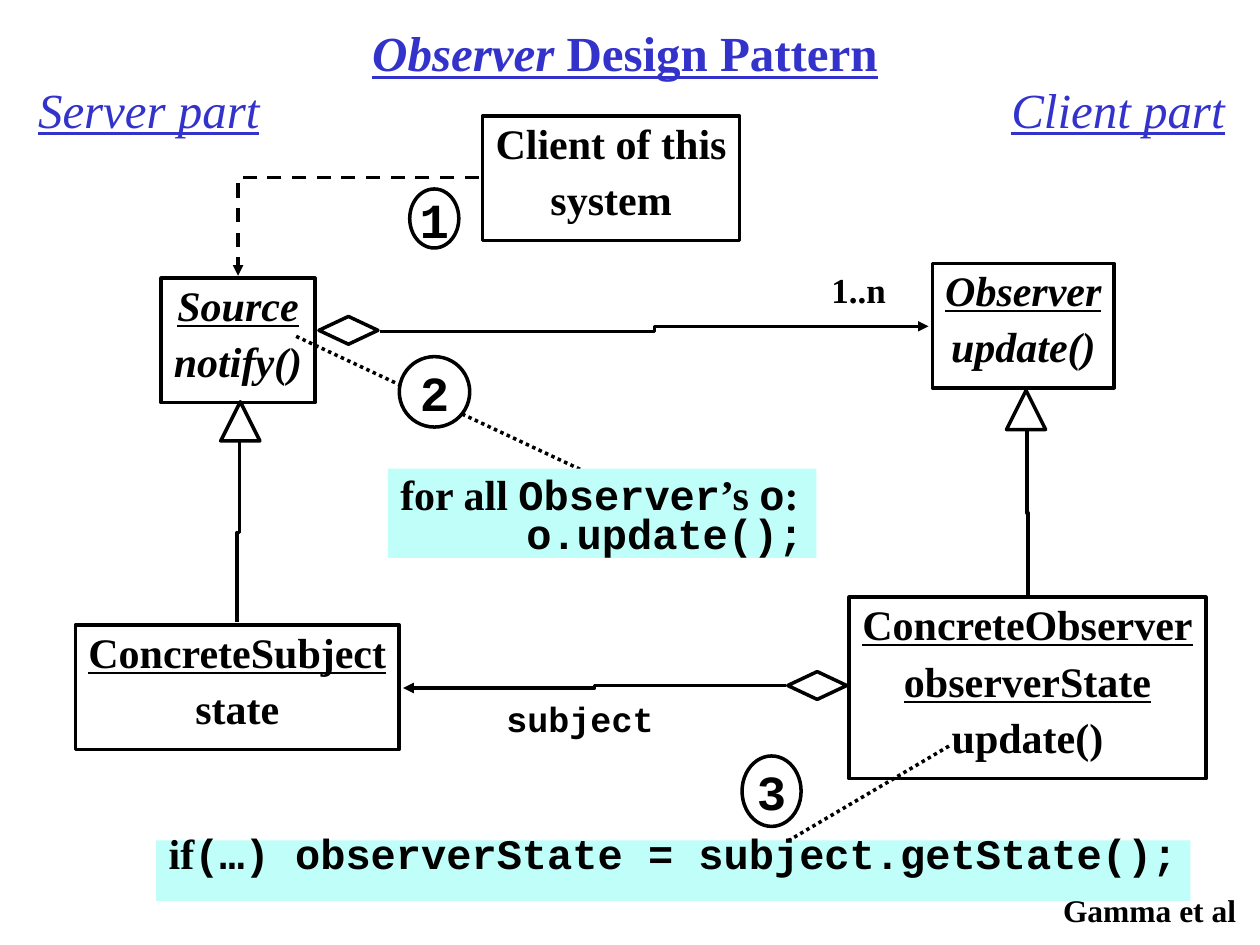
from lxml.etree import SubElement
from pptx import Presentation
from pptx.dml.color import RGBColor
from pptx.enum.dml import MSO_LINE_DASH_STYLE as Dash
from pptx.enum.shapes import MSO_CONNECTOR_TYPE as Connector, MSO_SHAPE as Shape
from pptx.enum.text import MSO_ANCHOR as Anchor, MSO_AUTO_SIZE as AutoSize, PP_ALIGN as Align
from pptx.oxml.ns import qn
from pptx.util import Cm, Pt

BLACK = RGBColor(0x00, 0x00, 0x00)
WHITE = RGBColor(0xFF, 0xFF, 0xFF)
BLUE = RGBColor(0x33, 0x33, 0xCC)
AQUA = RGBColor(0xC0, 0xFE, 0xF9)
SERIF = "Times New Roman"
MONO = "Courier New"


def add_figure(slide, preset, box, fill=None, outlined=True):
    """Add a preset shape with an optional fill and a black outline."""
    shape = slide.shapes.add_shape(preset, *map(Cm, box))
    shape.shadow.inherit = False
    if fill is None:
        shape.fill.background()
    else:
        shape.fill.solid()
        shape.fill.fore_color.rgb = fill
    if outlined:
        shape.line.color.rgb = BLACK
        shape.line.width = Pt(2)
    else:
        shape.line.fill.background()
    return shape


def write(shape, lines, size, color=BLACK, align=Align.LEFT, anchor=Anchor.TOP,
          spacing=1.0, top=0.13, bottom=0.13, wrap=False, grow=True):
    """Fill a shape with lines, each a list of (text, font, style letters)."""
    frame = shape.text_frame
    frame.word_wrap = wrap
    frame.auto_size = AutoSize.SHAPE_TO_FIT_TEXT if grow else AutoSize.NONE
    frame.vertical_anchor = anchor
    frame.margin_left = frame.margin_right = Cm(0.25)
    frame.margin_top, frame.margin_bottom = Cm(top), Cm(bottom)
    for index, runs in enumerate(lines):
        paragraph = frame.add_paragraph() if index else frame.paragraphs[0]
        paragraph.alignment = align
        paragraph.line_spacing = spacing
        paragraph.space_before = Pt(15 if index else 0)
        if runs[0][0].startswith("\t"):
            add_tab_stop(paragraph, 2.54)
        for text, font, style in runs:
            run = paragraph.add_run()
            run.text = text
            run.font.name = font
            run.font.size = Pt(size)
            run.font.color.rgb = color
            run.font.bold = "b" in style
            run.font.italic = "i" in style
            run.font.underline = "u" in style


def add_tab_stop(paragraph, position):
    """Give a paragraph one left tab stop."""
    tabs = SubElement(paragraph._p.get_or_add_pPr(), qn("a:tabLst"))
    SubElement(tabs, qn("a:tab"), pos=str(Cm(position)), algn="l")


def add_class_box(slide, box, *lines):
    """Add a class box from (text, style letters) lines."""
    shape = add_figure(slide, Shape.RECTANGLE, box, WHITE)
    write(shape, [[(text, SERIF, style)] for text, style in lines], 24,
          align=Align.CENTER, anchor=Anchor.MIDDLE, spacing=0.6, top=0.38, bottom=0.38)


def add_note(slide, box, lines, spacing, top, bottom):
    """Add a coloured code note."""
    shape = add_figure(slide, Shape.RECTANGLE, box, AQUA, outlined=False)
    write(shape, lines, 24, spacing=spacing, top=top, bottom=bottom)


def add_step(slide, number, box, fill=WHITE):
    """Add a numbered circle."""
    shape = add_figure(slide, Shape.OVAL, box, fill)
    write(shape, [[(number, MONO, "b")]], 28, align=Align.CENTER,
          anchor=Anchor.MIDDLE, grow=False)


def add_label(slide, text, box, size, font=SERIF, wrap=False):
    """Add a bold free-standing label."""
    write(slide.shapes.add_textbox(*map(Cm, box)), [[(text, font, "b")]], size, wrap=wrap)


def add_part_heading(slide, text, box):
    """Add the heading of one side of the diagram."""
    shape = add_figure(slide, Shape.RECTANGLE, box, WHITE, outlined=False)
    write(shape, [[(text, SERIF, "iu")]], 28, BLUE, Align.CENTER)


def add_line(slide, kind, start, end, dash=None, arrow=False):
    """Add a black connector and return it."""
    line = slide.shapes.add_connector(kind, *map(Cm, (*start, *end)))
    line.line.color.rgb = BLACK
    line.line.width = Pt(2)
    if dash is not None:
        line.line.dash_style = dash
    if arrow:
        SubElement(line.line._get_or_add_ln(), qn("a:tailEnd"), type="triangle")
    SubElement(line._element.spPr, qn("a:effectLst"))
    return line


def add_vertical_elbow(slide, start, end):
    """Add an elbow that leaves and arrives vertically, by a quarter turn."""
    center_x, center_y = (start[0] + end[0]) / 2, (start[1] + end[1]) / 2
    turned = [(center_x + y - center_y, center_y - x + center_x) for x, y in (start, end)]
    line = add_line(slide, Connector.ELBOW, *turned)
    line._element.spPr.find(qn("a:xfrm")).set("rot", "5400000")


def add_corner_arrow(slide, start, end):
    """Add a dashed arrow with a single corner."""
    line = add_line(slide, Connector.ELBOW, start, end, Dash.DASH, arrow=True)
    line._element.spPr.find(qn("a:prstGeom")).set("prst", "bentConnector2")


def main():
    """Build the observer pattern slide."""
    presentation = Presentation()
    presentation.slide_width, presentation.slide_height = Cm(25.4), Cm(19.05)
    slide = presentation.slides.add_slide(presentation.slide_layouts[6])

    title = slide.shapes.add_textbox(*map(Cm, (0, 0.33, 25.2, 2.01)))
    write(title, [[("Observer ", SERIF, "biu"), ("Design Pattern", SERIF, "bu")]],
          28, BLUE, Align.CENTER, wrap=True, grow=False)
    add_part_heading(slide, "Server part", (0.46, 1.47, 5.08, 1.42))
    add_part_heading(slide, "Client part", (20.07, 1.47, 4.94, 1.42))

    add_class_box(slide, (9.73, 2.34, 5.18, 2.51), ("Client of this", "b"), ("system", "b"))
    add_class_box(slide, (3.25, 5.61, 3.1, 2.51), ("Source", "biu"), ("notify()", "bi"))
    add_class_box(slide, (18.8, 5.31, 3.66, 2.51), ("Observer", "biu"), ("update()", "bi"))
    add_class_box(slide, (1.52, 12.6, 6.53, 2.51), ("ConcreteSubject", "bu"), ("state", "b"))
    add_class_box(slide, (17.12, 12.04, 7.19, 3.66), ("ConcreteObserver", "bu"),
                  ("observerState", "bu"), ("update()", "b"))

    for left, top in ((4.45, 8.1), (20.29, 7.87)):
        add_figure(slide, Shape.ISOSCELES_TRIANGLE, (left, top, 0.79, 0.79), WHITE)
    for left, top in ((6.43, 6.38), (15.88, 13.54)):
        add_figure(slide, Shape.DIAMOND, (left, top, 1.19, 0.56), WHITE)

    for start, end in (((5.97, 6.78), (12.27, 9.73)), ((19.13, 15.04), (14.48, 17.78))):
        add_line(slide, Connector.STRAIGHT, start, end, Dash.ROUND_DOT)
    add_vertical_elbow(slide, (4.78, 12.55), (4.83, 8.92))
    add_vertical_elbow(slide, (20.73, 11.99), (20.7, 8.69))
    add_corner_arrow(slide, (9.65, 3.58), (4.8, 5.56))
    add_line(slide, Connector.ELBOW, (7.67, 6.68), (18.72, 6.58), arrow=True)
    add_line(slide, Connector.ELBOW, (15.85, 13.82), (8.13, 13.87), arrow=True)

    add_note(slide, (7.82, 9.45, 8.64, 1.8), [
        [("for all ", SERIF, "b"), ("Observer", MONO, "b"), ("’s ", SERIF, "b"),
         ("o", MONO, "b"), (":", SERIF, "b")],
        [("\to.update();", MONO, "b")],
    ], spacing=0.25, top=0.64, bottom=0.13)
    add_note(slide, (3.15, 16.94, 20.85, 1.22), [
        [("if", SERIF, "b"), ("(…) observerState = subject.getState();", MONO, "b")],
    ], spacing=0.45, top=0.38, bottom=0.38)

    add_step(slide, "1", (8.26, 3.81, 0.99, 1.19), fill=None)
    add_step(slide, "2", (8.05, 7.19, 1.42, 1.42))
    add_step(slide, "3", (14.96, 15.24, 1.19, 1.42))

    add_label(slide, "subject", (9.96, 13.94, 3.58, 1.09), 20, MONO, wrap=True)
    add_label(slide, "1..n", (16.51, 5.28, 1.6, 1.12), 20)
    add_label(slide, "Gamma et al", (21.18, 17.83, 4.15, 1.02), 18)
    presentation.save("out.pptx")


if __name__ == "__main__":
    main()
